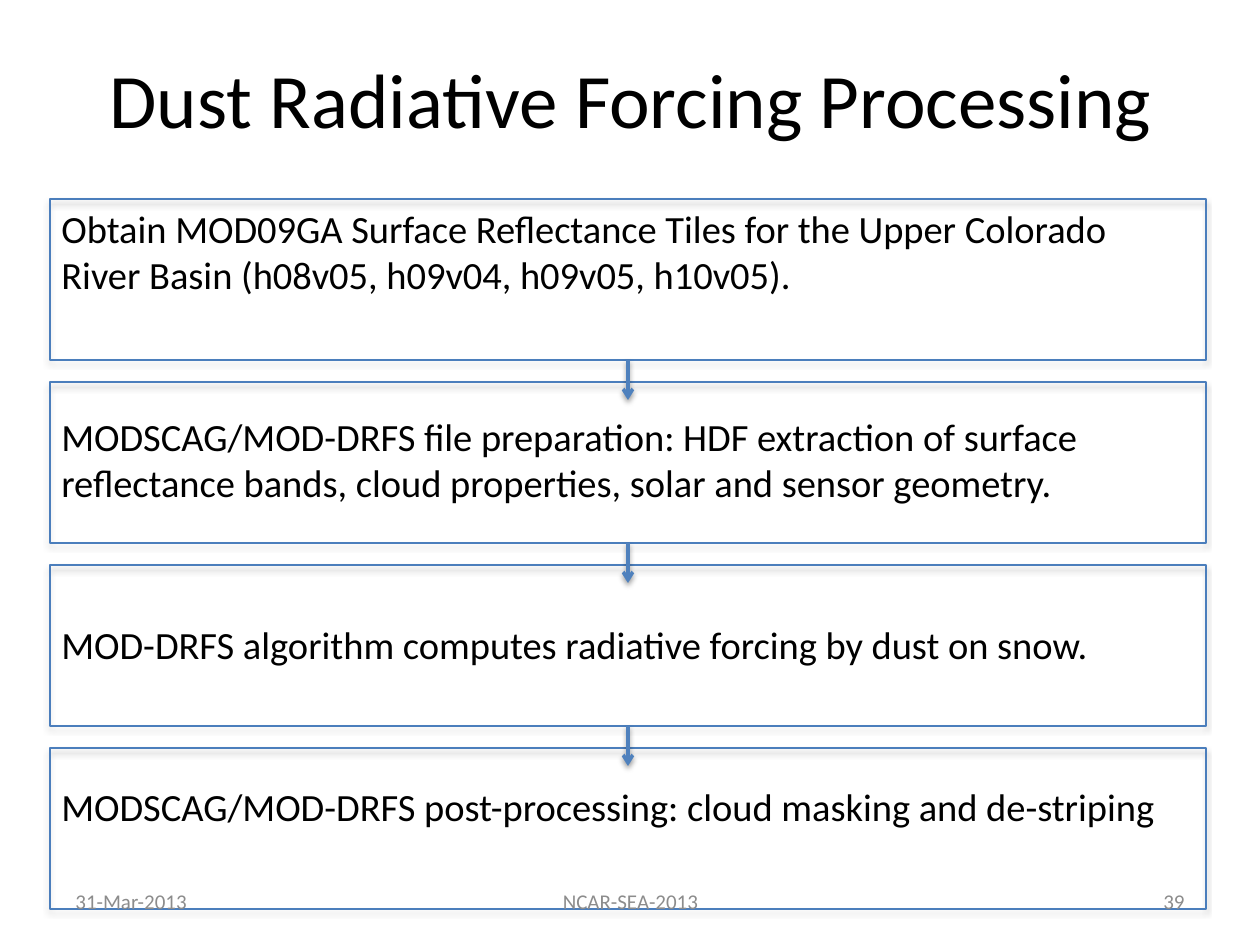
import pptx
import pptx.util
import pptx.dml.color
import pptx.enum.shapes
import pptx.enum.text
import pptx.oxml
import pptx.oxml.ns

RGBColor = pptx.dml.color.RGBColor
BLACK = RGBColor(0x00, 0x00, 0x00)
GREY = RGBColor(0x8C, 0x8C, 0x8C)
BOX_LINE = RGBColor(0x4B, 0x7E, 0xBC)
ARROW_LINE = RGBColor(0x4F, 0x81, 0xBD)

ALIGN = pptx.enum.text.PP_ALIGN
ANCHOR = pptx.enum.text.MSO_ANCHOR
EMU_PER_PX = 914400 / 126

STEPS = [
    "Obtain MOD09GA Surface Reflectance Tiles for the Upper Colorado "
    "River Basin (h08v05, h09v04, h09v05, h10v05).",
    "MODSCAG/MOD-DRFS file preparation: HDF extraction of surface "
    "reflectance bands, cloud properties, solar and sensor geometry.",
    "MOD-DRFS algorithm computes radiative forcing by dust on snow.",
    "MODSCAG/MOD-DRFS post-processing: cloud masking and de-striping",
]
FOOTERS = [
    ("31-Mar-2013", 63, 294, ALIGN.LEFT),
    ("NCAR-SEA-2013", 431, 399, ALIGN.CENTER),
    ("39", 903, 294, ALIGN.RIGHT),
]


def px(n):
    return pptx.util.Emu(round(n * EMU_PER_PX))


class Deck:
    font = "Calibri"

    def __init__(self, width, height):
        self.prs = pptx.Presentation()
        self.prs.slide_width, self.prs.slide_height = px(width), px(height)
        self.slide = self.prs.slides.add_slide(self.prs.slide_layouts[5])

    def fill_text(self, sp, paragraphs, size, color, align=ALIGN.LEFT,
                  anchor=ANCHOR.TOP, gap=0):
        tf = sp.text_frame
        frame = {"word_wrap": True, "vertical_anchor": anchor,
                 "auto_size": pptx.enum.text.MSO_AUTO_SIZE.NONE}
        for name, value in frame.items():
            setattr(tf, name, value)
        for i, text in enumerate(paragraphs):
            p = tf.add_paragraph() if i else tf.paragraphs[0]
            p.alignment = align
            p.space_before = pptx.util.Pt(gap if i else 0)
            r = p.add_run()
            r.text = text
            for name, value in {"name": self.font, "size": pptx.util.Pt(size)}.items():
                setattr(r.font, name, value)
            r.font.color.rgb = color

    def title(self, text, x, y, w, h):
        sp = self.slide.shapes.title
        place = {"left": x, "top": y, "width": w, "height": h}
        for name, value in place.items():
            setattr(sp, name, px(value))
        self.fill_text(sp, [text], 44, BLACK, ALIGN.CENTER, ANCHOR.MIDDLE)

    def text(self, paragraphs, x, y, w, h, size, color, **layout):
        sp = self.slide.shapes.add_textbox(px(x), px(y), px(w), px(h))
        self.fill_text(sp, paragraphs, size, color, **layout)

    def shadow(self, sp, alpha, distance):
        sp._element.spPr.append(pptx.oxml.parse_xml(
            f'<a:effectLst {pptx.oxml.ns.nsdecls("a")}>'
            f'<a:outerShdw blurRad="{pptx.util.Pt(3.1)}" dist="{pptx.util.Pt(distance)}" '
            'dir="5400000" rotWithShape="0"><a:srgbClr val="000000">'
            f'<a:alpha val="{alpha * 1000}"/></a:srgbClr></a:outerShdw></a:effectLst>'))

    def outline(self, sp, color, width):
        sp.line.color.rgb = color
        sp.line.width = pptx.util.Pt(width)

    def box(self, x, y, w, h):
        sp = self.slide.shapes.add_shape(
            pptx.enum.shapes.MSO_SHAPE.RECTANGLE, px(x), px(y), px(w), px(h))
        sp.fill.background()
        self.outline(sp, BOX_LINE, 0.75)
        self.shadow(sp, 35, 1.8)
        return sp

    def arrow(self, box, x, y, length):
        sp = self.slide.shapes.add_connector(
            pptx.enum.shapes.MSO_CONNECTOR.STRAIGHT, px(x), px(y), px(x), px(y + length))
        sp.begin_connect(box, 2)
        self.outline(sp, ARROW_LINE, 2)
        ln = sp._element.spPr.find(pptx.oxml.ns.qn("a:ln"))
        ln.append(pptx.oxml.parse_xml(
            f'<a:tailEnd {pptx.oxml.ns.nsdecls("a")} type="arrow"/>'))
        self.shadow(sp, 38, 1.6)


def main():
    deck = Deck(1260, 945)
    deck.title("Dust Radiative Forcing Processing", 64, 19, 1134, 158)

    # Step outlines at an equal pitch
    left, top, width, height, pitch = 50, 199, 1156, 161, 183
    boxes = [deck.box(left, top + i * pitch, width, height) for i in range(len(STEPS))]

    # Step wording, spaced to fall inside the outlines
    deck.text(STEPS, 49, 199, 1158, 683, 22, BLACK, gap=66)

    # Arrows between steps
    for i, box in enumerate(boxes[:-1]):
        deck.arrow(box, left + width // 2, top + i * pitch + height, 40)

    # Footer
    for text, x, w, align in FOOTERS:
        deck.text([text], x, 876, w, 50, 12, GREY, align=align, anchor=ANCHOR.MIDDLE)

    deck.prs.save("out.pptx")


if __name__ == "__main__":
    main()
